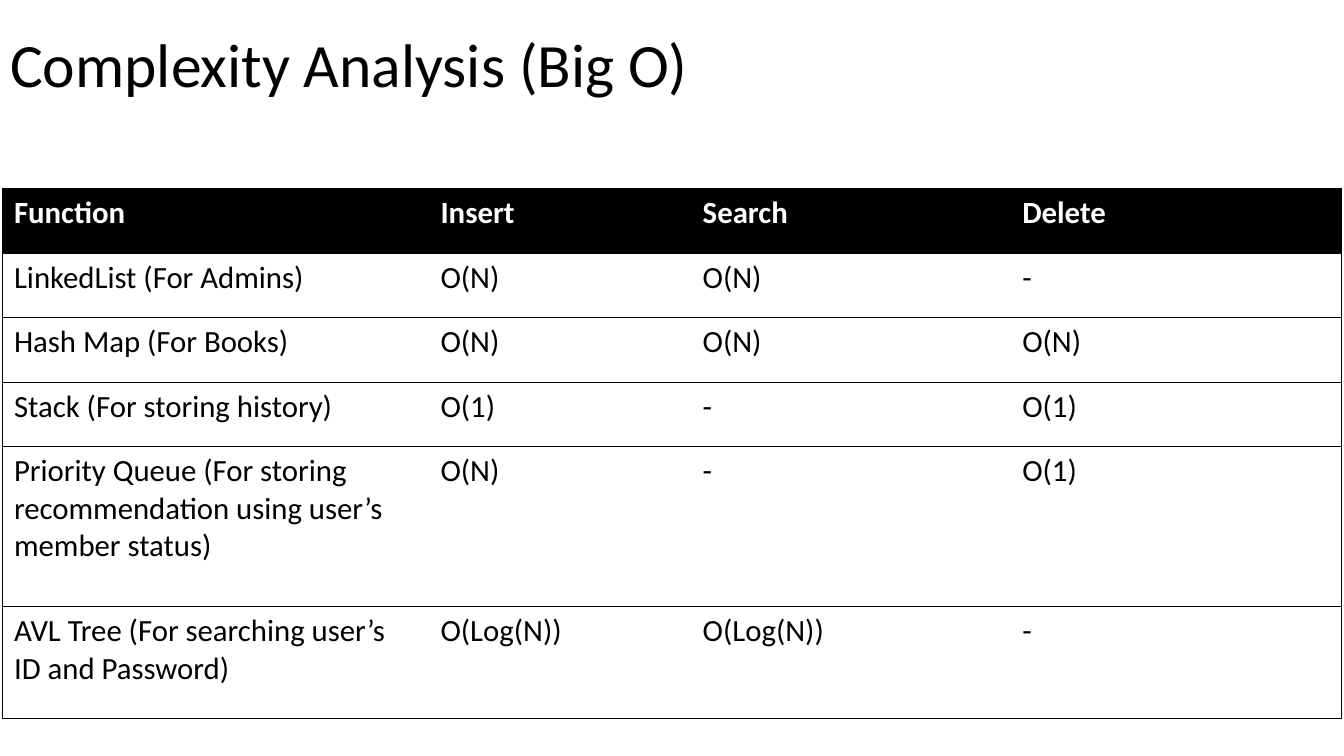
from lxml import etree
from pptx import Presentation
from pptx.dml.color import RGBColor
from pptx.enum.text import MSO_ANCHOR, PP_ALIGN
from pptx.oxml.ns import qn
from pptx.util import Inches, Pt

COLORS = {"ink": "000000", "paper": "FFFFFF"}
FONT = "Calibri"
COL_WIDTHS = [4.23, 2.6, 3.17, 3.28]
ROW_HEIGHTS = [0.64, 0.64, 0.64, 0.64, 1.59, 1.11]
ROWS = [
    ["Function", "Insert", "Search", "Delete"],
    ["LinkedList (For Admins)", "O(N)", "O(N)", "-"],
    ["Hash Map (For Books)", "O(N)", "O(N)", "O(N)"],
    ["Stack (For storing history)", "O(1)", "-", "O(1)"],
    ["Priority Queue (For storing recommendation using user’s member status)",
     "O(N)", "-", "O(1)"],
    ["AVL Tree (For searching user’s ID and Password)",
     "O(Log(N))", "O(Log(N))", "-"],
]


def rgb(name):
    """Return the named colour."""
    return RGBColor.from_string(COLORS[name])


def set_attrs(obj, values):
    """Set every attribute in the dict of values."""
    for key, value in values.items():
        setattr(obj, key, value)


def write(tf, text, size, color, bold=False):
    """Put one formatted run in a text frame."""
    p = tf.paragraphs[0]
    p.alignment = PP_ALIGN.LEFT
    r = p.add_run()
    r.text = text
    set_attrs(r.font, {"name": FONT, "size": Pt(size), "bold": bold})
    r.font.color.rgb = rgb(color)
    return p


def set_borders(cell, visible):
    """Draw thin lines on the visible sides and clear the others."""
    tc_pr = cell._tc.get_or_add_tcPr()
    for i, side in enumerate("LRTB"):
        ln = etree.Element(qn(f"a:ln{side}"), w=str(Pt(0.5)))
        if side in visible:
            fill = etree.SubElement(ln, qn("a:solidFill"))
            etree.SubElement(fill, qn("a:srgbClr"), val=COLORS["ink"])
        else:
            etree.SubElement(ln, qn("a:noFill"))
        tc_pr.insert(i, ln)


def add_title(s, text, left, top, width, height):
    """Place the slide title in its box."""
    title = s.shapes.title
    set_attrs(title, {"left": Inches(left), "top": Inches(top),
                      "width": Inches(width), "height": Inches(height)})
    tf = title.text_frame
    set_attrs(tf, {"word_wrap": True, "vertical_anchor": MSO_ANCHOR.MIDDLE})
    write(tf, text, 44, "ink").line_spacing = 0.9


def add_complexity_table(s, left, top, width, height):
    """Place the table of operation costs in its box."""
    table = s.shapes.add_table(len(ROWS), len(COL_WIDTHS), Inches(left),
                               Inches(top), Inches(width), Inches(height)).table
    table.horz_banding = False
    for col, col_width in zip(table.columns, COL_WIDTHS):
        col.width = Inches(col_width)
    for row, row_height in zip(table.rows, ROW_HEIGHTS):
        row.height = Inches(row_height)
    last = len(COL_WIDTHS) - 1
    for i, texts in enumerate(ROWS):
        header = i == 0
        for j, text in enumerate(texts):
            cell = table.cell(i, j)
            set_attrs(cell, {"margin_left": Inches(0.12), "margin_right": Inches(0.12),
                             "margin_top": Inches(0.06), "margin_bottom": Inches(0.06)})
            cell.fill.solid()
            cell.fill.fore_color.rgb = rgb("ink" if header else "paper")
            write(cell.text_frame, text, 22, "paper" if header else "ink", header)
            set_borders(cell, "TB" + "L" * (j == 0) + "R" * (j == last))


def main():
    """Build the slide and save it."""
    prs = Presentation()
    set_attrs(prs, {"slide_width": Inches(13.33), "slide_height": Inches(7.5)})
    s = prs.slides.add_slide(prs.slide_layouts[5])
    add_title(s, "Complexity Analysis (Big O)", 0, 0.02, 13.33, 1.31)
    add_complexity_table(s, 0.02, 1.87, sum(COL_WIDTHS), sum(ROW_HEIGHTS))
    prs.save("out.pptx")


if __name__ == "__main__":
    main()
